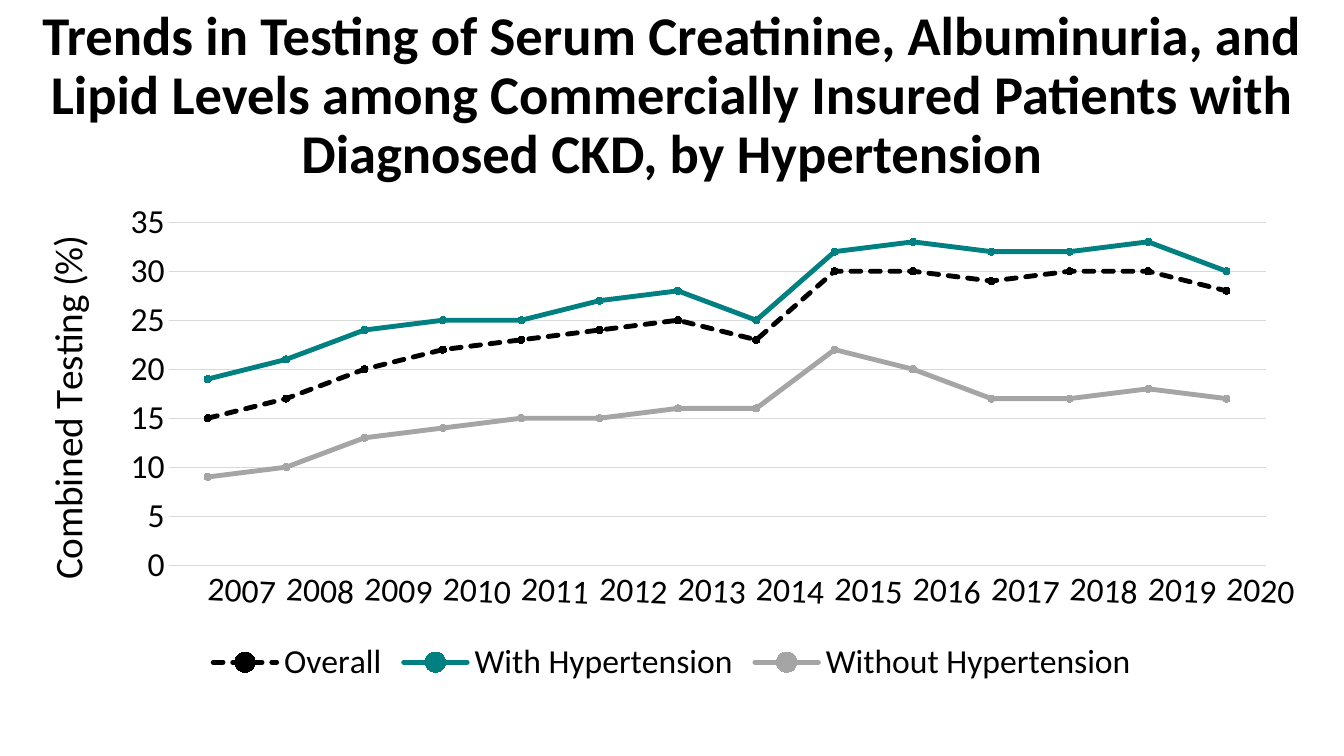
from dataclasses import dataclass

from pptx import Presentation, oxml
from pptx.chart.data import CategoryChartData
from pptx.dml.color import RGBColor
from pptx.enum import chart as ch, dml, text
from pptx.oxml import ns
from pptx.util import Pt


@dataclass(frozen=True)
class Theme:
    face: str = "Calibri"
    ink: str = "000000"
    teal: str = "008080"
    gray: str = "A5A5A5"
    rule: str = "D9D9D9"
    head: int = 39
    name: int = 28
    label: int = 24


THEME = Theme()
TITLE = ("Trends in Testing of Serum Creatinine, Albuminuria, and Lipid Levels among "
         "Commercially Insured Patients with Diagnosed CKD, by Hypertension")
YEARS = range(2007, 2021)
# name, colour, dash, yearly percentages
TRENDS = [
    ("Overall", THEME.ink, dml.MSO_LINE.SQUARE_DOT,
     (15, 17, 20, 22, 23, 24, 25, 23, 30, 30, 29, 30, 30, 28)),
    ("With Hypertension", THEME.teal, None,
     (19, 21, 24, 25, 25, 27, 28, 25, 32, 33, 32, 32, 33, 30)),
    ("Without Hypertension", THEME.gray, None,
     (9, 10, 13, 14, 15, 15, 16, 16, 22, 20, 17, 17, 18, 17)),
]


def style(font, size, bold=False):
    font.name, font.size, font.bold = THEME.face, Pt(size), bold
    font.color.rgb = RGBColor.from_string(THEME.ink)


def stroke(line, color, width):
    line.color.rgb = RGBColor.from_string(color)
    line.width = Pt(width)


def add_title(slide):
    title = slide.shapes.title
    title.left, title.top, title.width, title.height = Pt(19), Pt(17), Pt(922), Pt(104.5)
    frame = title.text_frame
    frame.word_wrap = True
    frame.auto_size = text.MSO_AUTO_SIZE.NONE
    frame.vertical_anchor = text.MSO_ANCHOR.MIDDLE
    para = frame.paragraphs[0]
    para.alignment, para.line_spacing = text.PP_ALIGN.CENTER, 0.9
    run = para.add_run()
    run.text = TITLE
    style(run.font, THEME.head, True)


def place_plot(chart, **box):
    """Fix the inner plot area, in fractions of the chart's size."""
    area = chart._chartSpace.chart.plotArea
    old = area.find(ns.qn("c:layout"))
    if old is not None:
        area.remove(old)
    sides = "".join(f'<c:{key} val="{val}"/>' for key, val in box.items())
    area.insert(0, oxml.parse_xml(
        f'<c:layout {ns.nsdecls("c")}><c:manualLayout><c:layoutTarget val="inner"/>'
        f'<c:xMode val="edge"/><c:yMode val="edge"/>{sides}</c:manualLayout></c:layout>'))


def format_years(axis):
    axis.major_tick_mark = ch.XL_TICK_MARK.NONE
    stroke(axis.format.line, THEME.rule, 0.75)
    style(axis.tick_labels.font, THEME.label)
    body = axis._element.find(ns.qn("c:txPr")).find(ns.qn("a:bodyPr"))
    body.set("rot", "180000")  # three degrees


def format_values(axis):
    axis.minimum_scale, axis.maximum_scale, axis.major_unit = 0, 35, 5
    axis.major_tick_mark = ch.XL_TICK_MARK.NONE
    axis.format.line.fill.background()
    stroke(axis.major_gridlines.format.line, THEME.rule, 0.75)
    labels = axis.tick_labels
    labels.number_format, labels.number_format_is_linked = "0", False
    style(labels.font, THEME.label)
    run = axis.axis_title.text_frame.paragraphs[0].add_run()
    run.text = "Combined Testing (%)"
    style(run.font, THEME.name)


def format_trend(trend, color, dash):
    trend.smooth = False
    line = trend.format.line
    stroke(line, color, 3.5)
    if dash:
        line.dash_style = dash
    line._get_or_add_ln().set("cap", "rnd")
    mark = trend.marker
    mark.style, mark.size = ch.XL_MARKER_STYLE.CIRCLE, 5
    mark.format.fill.solid()
    mark.format.fill.fore_color.rgb = RGBColor.from_string(color)
    stroke(mark.format.line, color, 0.75)


def add_trends(slide):
    data = CategoryChartData(number_format="0")
    data.categories = [str(year) for year in YEARS]
    for name, _, _, vals in TRENDS:
        data.add_series(name, vals)
    chart = slide.shapes.add_chart(ch.XL_CHART_TYPE.LINE_MARKERS, Pt(19), Pt(137.5),
                                   Pt(922), Pt(355), data).chart
    style(chart.font, 10)
    chart.has_title = False
    chart.has_legend = True
    legend = chart.legend
    legend.position, legend.include_in_layout = ch.XL_LEGEND_POSITION.BOTTOM, False
    style(legend.font, THEME.label)
    plot = chart.plots[0]
    plot.vary_by_categories = False
    for trend, (_, color, dash, _) in zip(plot.series, TRENDS):
        format_trend(trend, color, dash)
    format_years(chart.category_axis)
    format_values(chart.value_axis)
    place_plot(chart, x=0.11, y=0.06, w=0.85, h=0.69)


def main():
    deck = Presentation()
    deck.slide_width, deck.slide_height = Pt(960), Pt(540)
    slide = deck.slides.add_slide(deck.slide_layouts.get_by_name("Title Only"))
    add_title(slide)
    add_trends(slide)
    deck.save("out.pptx")


if __name__ == "__main__":
    main()
